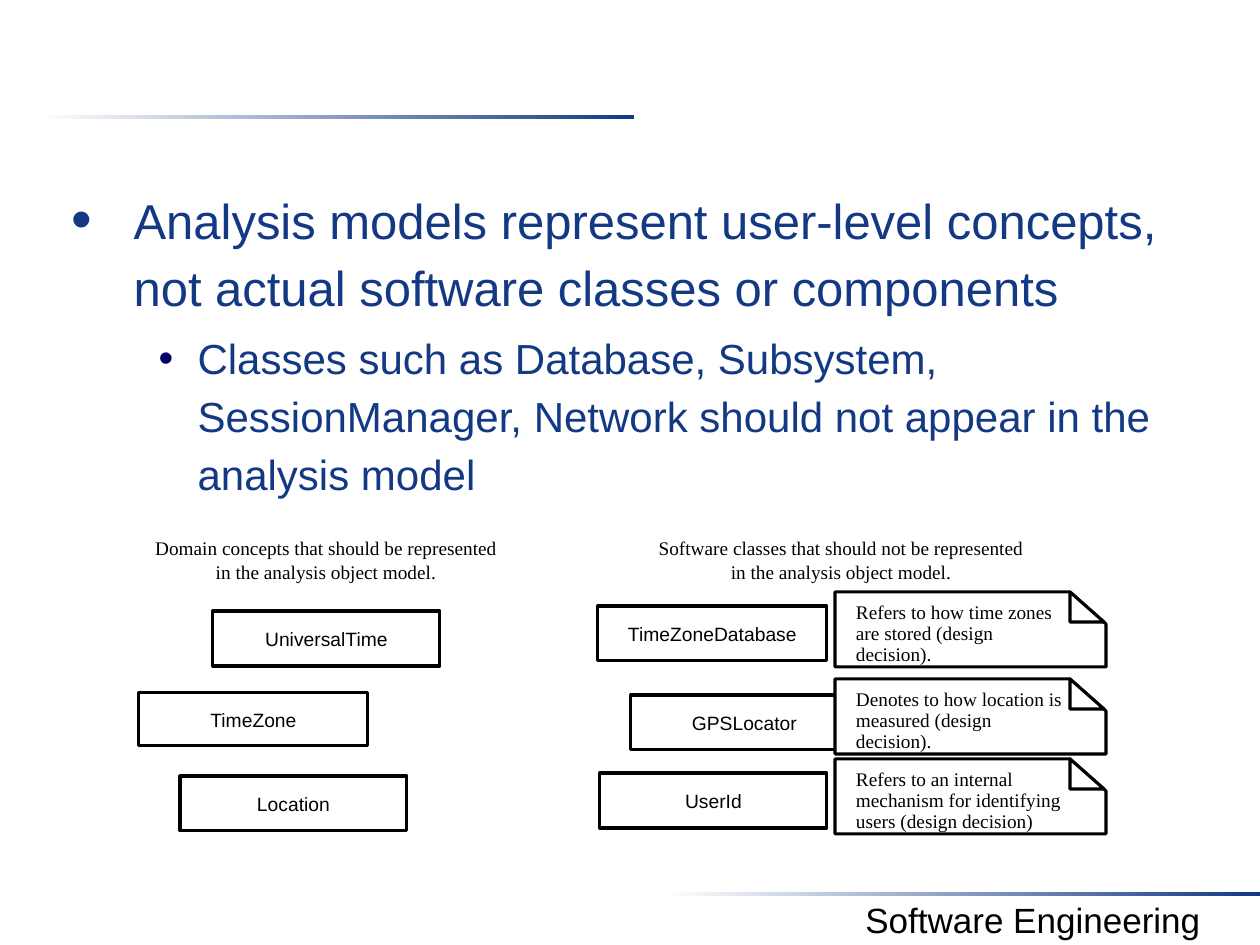
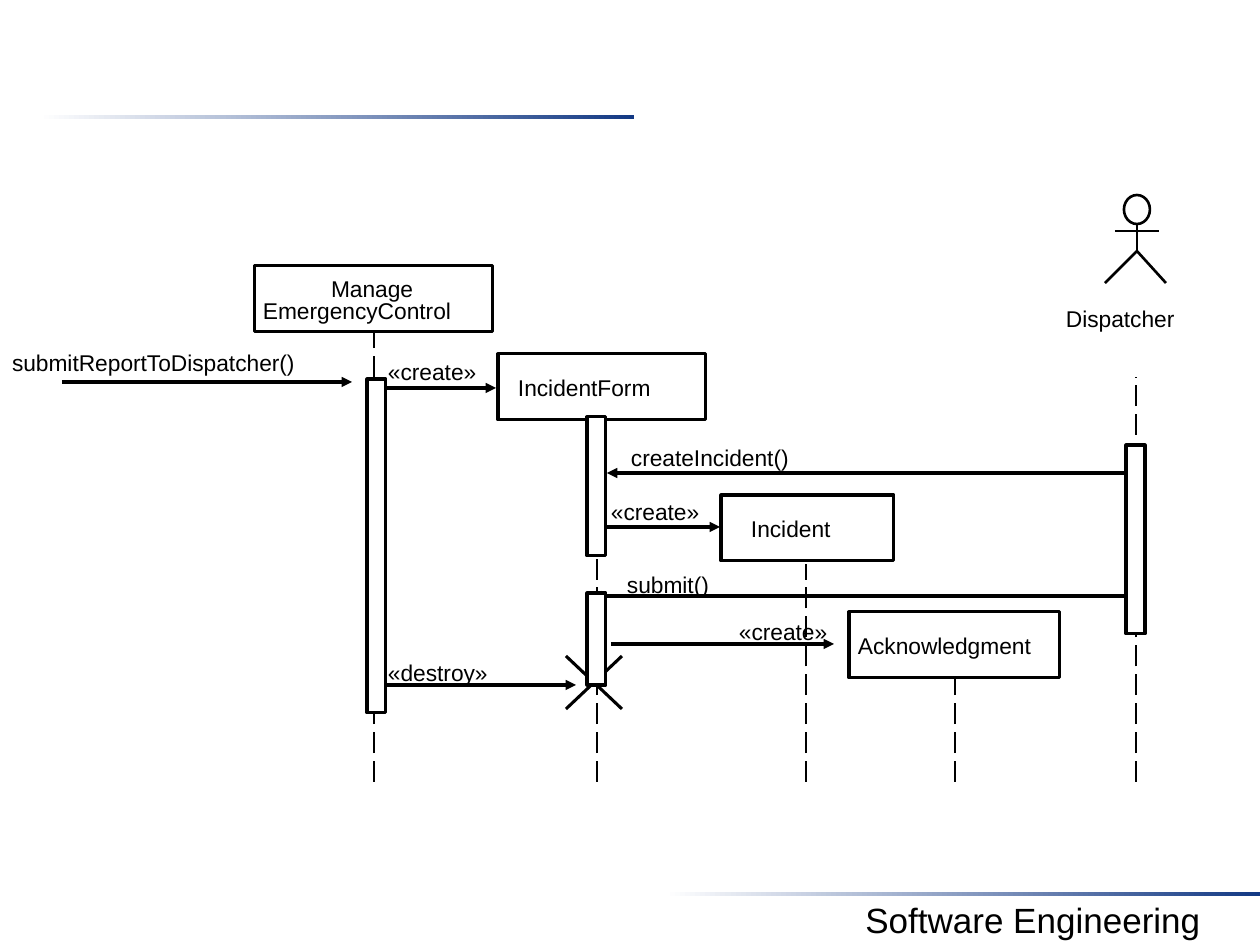
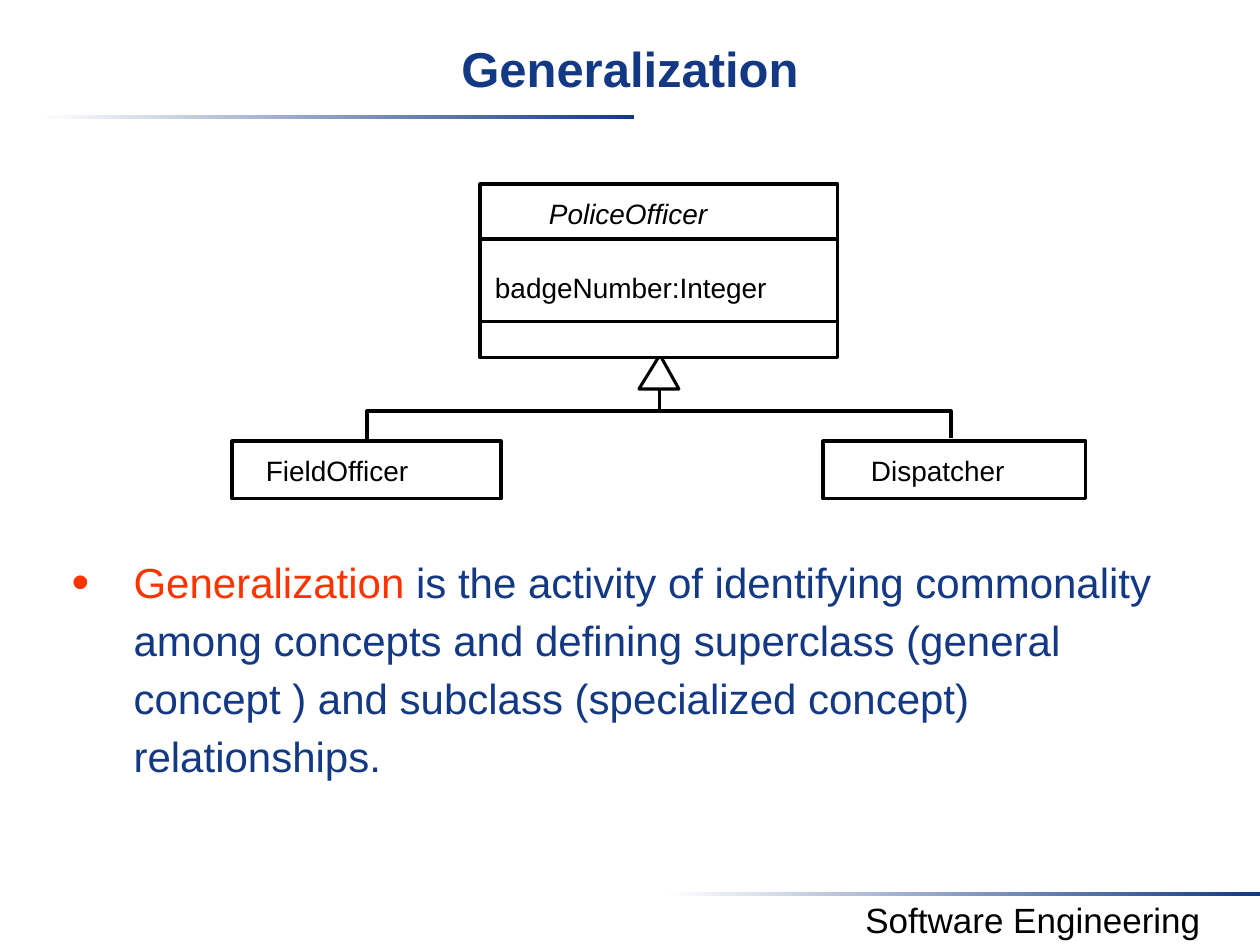
import pptx
import pptx.util
import pptx.dml.color
import pptx.enum.dml
import pptx.enum.shapes
import pptx.enum.text
import pptx.oxml.ns
import lxml.etree

WIDTH, HEIGHT = 1260, 945
SCALE = 9144000 / WIDTH

NAVY = pptx.dml.color.RGBColor(0x13, 0x39, 0x84)
DARK_BLUE = pptx.dml.color.RGBColor(0x00, 0x00, 0x66)
RED = pptx.dml.color.RGBColor(0xFF, 0x33, 0x00)
BLACK = pptx.dml.color.RGBColor(0, 0, 0)
WHITE = pptx.dml.color.RGBColor(0xFF, 0xFF, 0xFF)

SANS = "Arial"
SERIF = "Times New Roman"
LEFT = pptx.enum.text.PP_ALIGN.LEFT
CENTER = pptx.enum.text.PP_ALIGN.CENTER
TOP = pptx.enum.text.MSO_ANCHOR.TOP
MIDDLE = pptx.enum.text.MSO_ANCHOR.MIDDLE
RECTANGLE = pptx.enum.shapes.MSO_SHAPE.RECTANGLE
OVAL = pptx.enum.shapes.MSO_SHAPE.OVAL

BODY_LEFT, BODY_WIDTH, BODY_BOTTOM = 59, 1134, 873
BAR_WIDTH = 19
LIFELINE_BOTTOM = 782


def px(length):
    return pptx.util.Emu(round(length * SCALE))


def place(shape, left, top, width, height):
    shape.left, shape.top = px(left), px(top)
    shape.width, shape.height = px(width), px(height)


def add_run(paragraph, text, size=11, color=BLACK, font=SANS, bold=False, italic=False):
    run = paragraph.add_run()
    run.text = text
    run.font.name = font
    run.font.size = pptx.util.Pt(size)
    run.font.bold = bold
    run.font.italic = italic
    run.font.color.rgb = color


def write_text(shape, text, align=LEFT, anchor=TOP, margins=(0, 0, 0, 0), spacing=None, **style):
    frame = shape.text_frame
    frame.word_wrap = True
    frame.auto_size = pptx.enum.text.MSO_AUTO_SIZE.NONE
    frame.vertical_anchor = anchor
    frame.margin_left, frame.margin_top, frame.margin_right, frame.margin_bottom = map(px, margins)
    for index, line in enumerate(text.split("\n")):
        paragraph = frame.add_paragraph() if index else frame.paragraphs[0]
        paragraph.alignment = align
        if spacing:
            paragraph.line_spacing = pptx.util.Pt(spacing)
        add_run(paragraph, line, **style)


def add_label(slide, text, left, top, width, height=28, **style):
    label = slide.shapes.add_textbox(px(left), px(top), px(width), px(height))
    write_text(label, text, **style)


def outline(shape, fill=None, weight=1.75):
    shape.shadow.inherit = False
    if fill is None:
        shape.fill.background()
    else:
        shape.fill.solid()
        shape.fill.fore_color.rgb = fill
    shape.line.color.rgb = BLACK
    shape.line.width = pptx.util.Pt(weight)


def add_box(slide, left, top, width, height, text="", fill=None, **style):
    box = slide.shapes.add_shape(RECTANGLE, px(left), px(top), px(width), px(height))
    outline(box, fill)
    if text:
        write_text(box, text, anchor=MIDDLE, **style)


def add_outline(slide, points, closed=True, fill=None, weight=1.75):
    builder = slide.shapes.build_freeform(*points[0], scale=SCALE)
    builder.add_line_segments(points[1:], close=closed)
    outline(builder.convert_to_shape(), fill, weight)


def add_line(slide, start, end, weight=1.75, dashed=False, arrow=False):
    straight = pptx.enum.shapes.MSO_CONNECTOR.STRAIGHT
    connector = slide.shapes.add_connector(straight, *map(px, start + end))
    connector.line.color.rgb = BLACK
    connector.line.width = pptx.util.Pt(weight)
    if dashed:
        connector.line.dash_style = pptx.enum.dml.MSO_LINE.LONG_DASH
    properties = connector.element.spPr
    if arrow:
        line = properties.find(pptx.oxml.ns.qn("a:ln"))
        lxml.etree.SubElement(line, pptx.oxml.ns.qn("a:tailEnd"), type="triangle")
    lxml.etree.SubElement(properties, pptx.oxml.ns.qn("a:effectLst"))


def add_band(slide, left, top):
    band = slide.shapes.add_shape(RECTANGLE, px(left), px(top), px(595), px(4))
    band.shadow.inherit = False
    band.line.fill.background()
    band.fill.gradient()
    band.fill.gradient_angle = 0
    for stop, color in zip(band.fill.gradient_stops, (WHITE, NAVY)):
        stop.color.rgb = color


def build_master(presentation, slide):
    add_band(slide, 39, 115)
    add_band(slide, 665, 892)
    add_label(slide, "Software Engineering", 806, 892, 454, 55,
              align=CENTER, margins=(13, 6, 13, 6), size=20)
    master_tree = presentation.slide_master.shapes.element
    for shape in list(slide.shapes):
        if not shape.is_placeholder:
            master_tree.append(shape.element)


def set_bullet(paragraph, level, color, percent):
    margin, hang = ((62, 62), (126, 39))[level]
    paragraph.level = level
    properties = paragraph._p.get_or_add_pPr()
    properties.set("marL", str(px(margin)))
    properties.set("indent", str(px(-hang)))
    bullet_color = lxml.etree.SubElement(properties, pptx.oxml.ns.qn("a:buClr"))
    lxml.etree.SubElement(bullet_color, pptx.oxml.ns.qn("a:srgbClr"), val=str(color))
    lxml.etree.SubElement(properties, pptx.oxml.ns.qn("a:buSzPct"), val=str(percent * 1000))
    lxml.etree.SubElement(properties, pptx.oxml.ns.qn("a:buFont"), typeface=SANS)
    lxml.etree.SubElement(properties, pptx.oxml.ns.qn("a:buChar"), char="•")


def fill_body(slide, top, items):
    body = slide.placeholders[1]
    place(body, BODY_LEFT, top, BODY_WIDTH, BODY_BOTTOM - top)
    frame = body.text_frame
    frame.auto_size = pptx.enum.text.MSO_AUTO_SIZE.NONE
    for index, (level, size, bullet_color, percent, runs) in enumerate(items):
        paragraph = frame.add_paragraph() if index else frame.paragraphs[0]
        set_bullet(paragraph, level, bullet_color, percent)
        paragraph.line_spacing = 1.15
        paragraph.space_before = pptx.util.Pt(5 if index else 0)
        for text, color in runs:
            add_run(paragraph, text, size=size, color=color)


def add_note(slide, top, text):
    left, fold, right, bottom = 835, 1070, 1106, top + 75
    add_outline(slide, [(left, top), (left, bottom), (right, bottom),
                        (right, top + 32), (fold, top)], fill=WHITE)
    add_label(slide, text, left + 21, top + 10, 225, 64, font=SERIF, spacing=12)
    add_outline(slide, [(fold, top), (fold, top + 30), (right - 2, top + 30)], fill=WHITE)


def build_analysis_slide(slide):
    slide.shapes.title.element.getparent().remove(slide.shapes.title.element)
    fill_body(slide, 175, [
        (0, 28, NAVY, 120, [("Analysis models represent user-level concepts, "
                             "not actual software classes or components", NAVY)]),
        (1, 24, DARK_BLUE, 100, [("Classes such as Database, Subsystem, SessionManager, "
                                  "Network should not appear in the analysis model", NAVY)]),
    ])
    for name, left, top, width, height in (
        ("UniversalTime", 213, 611, 227, 55),
        ("TimeZone", 139, 693, 229, 53),
        ("Location", 180, 776, 227, 55),
        ("TimeZoneDatabase", 598, 606, 229, 55),
        ("GPSLocator", 631, 695, 227, 55),
        ("UserId", 600, 773, 227, 55),
    ):
        add_box(slide, left, top, width, height, name, align=CENTER)
    for verdict, center, subject in (("should", 326, "Domain concepts"),
                                     ("should not", 841, "Software classes")):
        add_label(slide, f"{subject} that {verdict} be represented\nin the analysis object model.",
                  center - 200, 536, 400, 47, align=CENTER, font=SERIF, spacing=13.5)
    add_note(slide, 592, "Refers to how time zones\nare stored (design\ndecision).")
    add_note(slide, 679, "Denotes to how location is\nmeasured (design\ndecision).")
    add_note(slide, 759, "Refers to an internal\nmechanism for identifying\nusers (design decision)")


def add_actor(slide, center, top):
    head = slide.shapes.add_shape(OVAL, px(center - 13), px(top), px(26), px(29))
    outline(head, weight=1.5)
    add_line(slide, (center, top + 29), (center, top + 57), weight=1.5)
    add_line(slide, (center - 22, top + 36), (center + 22, top + 36), weight=1.5)
    add_outline(slide, [(center - 32, top + 88), (center, top + 56), (center + 29, top + 88)],
                closed=False, weight=1.5)


def build_sequence_slide(slide):
    for name, left, top, width, indent in (
        ("", 255, 266, 238, 0),
        ("IncidentForm", 498, 354, 208, 20),
        ("Incident", 721, 495, 173, 30),
        ("Acknowledgment", 849, 612, 211, 9),
    ):
        add_box(slide, left, top, width, 66, name, margins=(indent, 0, 0, 0), size=13)
    for start, end, y in ((383, 496, 388), (1126, 607, 473), (607, 720, 527), (611, 834, 644),
                          (1126, 591, 596), (62, 352, 382), (379, 576, 685)):
        add_line(slide, (start, y), (end, y), arrow=True)
    for text, left, top in (
        ("Manage", 331, 275),
        ("EmergencyControl", 263, 297),
        ("submitReportToDispatcher()", 12, 349),
        ("«create»", 388, 358),
        ("createIncident()", 631, 444),
        ("«create»", 611, 498),
        ("submit()", 627, 571),
        ("«create»", 739, 618),
        ("«destroy»", 388, 659),
        ("Dispatcher", 1066, 305),
    ):
        add_label(slide, text, left, top, 12 * len(text) + 20, size=13)
    add_line(slide, (566, 709), (622, 656))
    add_line(slide, (622, 709), (566, 656))
    add_actor(slide, 1137, 195)
    for x, top in ((1136, 377), (955, 678), (597, 420), (806, 564), (374, 331)):
        add_line(slide, (x, LIFELINE_BOTTOM), (x, top), weight=1.5, dashed=True)
    for left, top, height in ((587, 417, 139), (1126, 445, 189), (367, 379, 334), (587, 593, 92)):
        add_box(slide, left, top, BAR_WIDTH, height, fill=WHITE)


def build_generalization_slide(slide):
    title = slide.shapes.title
    place(title, 0, 25, WIDTH, 95)
    write_text(title, "Generalization", align=CENTER, margins=(13, 13, 13, 6),
               size=28, color=NAVY, bold=True)
    fill_body(slide, 543, [
        (0, 24, RED, 120, [("Generalization", RED),
                           (" is the activity of identifying commonality among concepts and "
                            "defining superclass (general concept ) and subclass "
                            "(specialized concept) relationships.", NAVY)]),
    ])
    add_box(slide, 232, 441, 269, 58, "FieldOfficer", margins=(34, 0, 0, 0), size=16)
    add_box(slide, 823, 441, 263, 58, "Dispatcher", margins=(48, 0, 0, 0), size=16)
    add_outline(slide, [(639, 389), (660, 355), (679, 389)])
    add_outline(slide, [(367, 441), (367, 411), (951, 411), (951, 438)], closed=False)
    add_line(slide, (660, 411), (660, 389))
    for text, top, height, indent, lowering, italic in (
        ("PoliceOfficer", 184, 55, 69, 4, True),
        ("badgeNumber:Integer", 239, 83, 15, 14, False),
        ("", 322, 36, 0, 0, False),
    ):
        add_box(slide, 480, top, 358, height, text, fill=WHITE,
                margins=(indent, lowering, 0, 0), size=16, italic=italic)


def main():
    presentation = pptx.Presentation()
    presentation.slide_width, presentation.slide_height = px(WIDTH), px(HEIGHT)
    content_layout, blank_layout = presentation.slide_layouts[1], presentation.slide_layouts[6]
    analysis_slide = presentation.slides.add_slide(content_layout)
    build_master(presentation, analysis_slide)
    build_analysis_slide(analysis_slide)
    build_sequence_slide(presentation.slides.add_slide(blank_layout))
    build_generalization_slide(presentation.slides.add_slide(content_layout))
    presentation.save("out.pptx")


if __name__ == "__main__":
    main()
